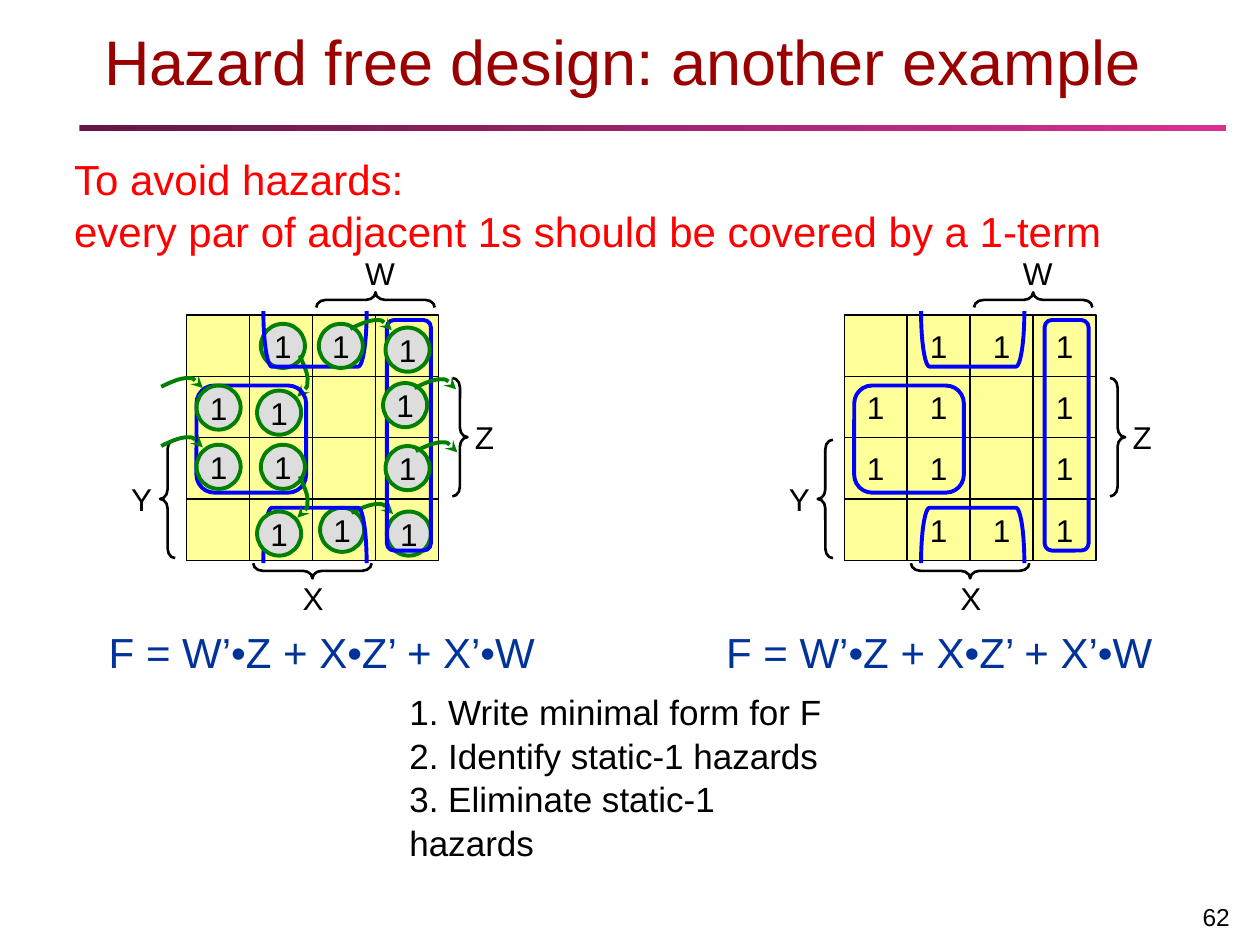
from lxml import etree
from pptx import Presentation
from pptx.dml.color import RGBColor
from pptx.enum.shapes import MSO_SHAPE
from pptx.enum.text import MSO_ANCHOR, PP_ALIGN
from pptx.oxml.ns import qn
from pptx.util import Pt

PX = 9144
FONT = "Arial"
LEFT, CENTER, RIGHT = PP_ALIGN.LEFT, PP_ALIGN.CENTER, PP_ALIGN.RIGHT
TOP, MIDDLE, BOTTOM = MSO_ANCHOR.TOP, MSO_ANCHOR.MIDDLE, MSO_ANCHOR.BOTTOM
RECT, ROUND, OVAL = MSO_SHAPE.RECTANGLE, MSO_SHAPE.ROUNDED_RECTANGLE, MSO_SHAPE.OVAL
LEFT_BRACE, RIGHT_BRACE = MSO_SHAPE.LEFT_BRACE, MSO_SHAPE.RIGHT_BRACE
BRACKET = MSO_SHAPE.LEFT_BRACKET

COLORS = {
    "title": "9A0000", "rule_start": "641744", "rule_end": "D93192",
    "warning": "FF0000", "formula": "003399", "text": "000000",
    "cell": "FFFF99", "circle": "DDDDDD", "hazard": "008000", "loop": "0000FF",
}
FORMULA = "F = W’•Z + X•Z’ + X’•W"
KMAP = ["0111", "1101", "1101", "0111"]
CELL_W, CELL_H = 50, 48.67
CIRCLE = 35
ARROW_DOWN = [(3, 8), (7, 15), (6, 21), (6, 26), (2, 30), (-2, 33)]
ARROW_RIGHT = [(8, -4), (15, -7), (21, -7), (26, -7), (30, -3), (33, 1)]
CIRCLES_BELOW = [(59, 7), (56, 60), (106, 153), (159, 156)]
CIRCLES_ABOVE = [(105, 7), (158, 10), (59, 103), (56, 156),
                 (156, 54), (8, 56), (158, 104), (8, 103)]
ARROWS_BELOW = [(90, 32, ARROW_DOWN), (131, 157, ARROW_RIGHT)]
ARROWS_ABOVE = [(130, 11, ARROW_RIGHT), (90, 128, ARROW_DOWN),
                (181, 58, ARROW_RIGHT), (-20, 57, ARROW_RIGHT),
                (182, 108, ARROW_RIGHT), (-20, 104, ARROW_RIGHT)]


def rgb(name):
    return RGBColor.from_string(COLORS[name])


def emu(*lengths):
    return [round(n * PX) for n in lengths]


def write(tf, lines, size=18, color="text", align=CENTER, **frame):
    for name, value in frame.items():
        setattr(tf, name, value)
    for i, line in enumerate(lines):
        p = tf.add_paragraph() if i else tf.paragraphs[0]
        p.text = line
        p.alignment = align
        if len(lines) > 1 or "\v" in line:
            p.line_spacing = 1.04
        for r in p.runs:
            for name, value in {"name": FONT, "size": Pt(size)}.items():
                setattr(r.font, name, value)
            r.font.color.rgb = rgb(color)


def add_text(s, box, lines, wrap=True, anchor=TOP, **style):
    tb = s.shapes.add_textbox(*emu(*box))
    write(tb.text_frame, lines, word_wrap=wrap, vertical_anchor=anchor, **style)


def style_outline(sp, line, width, fill=None):
    sp.shadow.inherit = False
    if fill:
        sp.fill.solid()
        sp.fill.fore_color.rgb = rgb(fill)
    else:
        sp.fill.background()
    sp.line.color.rgb = rgb(line)
    sp.line.width = Pt(width)


def add_shape(s, kind, box, line, width, fill=None, text="", adj=(), rotation=0):
    sp = s.shapes.add_shape(kind, *emu(*box))
    style_outline(sp, line, width, fill)
    for i, value in enumerate(adj):
        sp.adjustments[i] = value
    sp.rotation = rotation
    if text:
        write(sp.text_frame, [text], word_wrap=False, vertical_anchor=MIDDLE)


def add_arrow(s, x, y, steps):
    builder = s.shapes.build_freeform(x, y, scale=PX)
    builder.add_line_segments([(x + dx, y + dy) for dx, dy in steps], close=False)
    sp = builder.convert_to_shape()
    style_outline(sp, "hazard", 2.25)
    segments = list(sp._element.iter(qn("a:lnTo")))
    for i in range(0, len(segments), 3):
        curve = etree.Element(qn("a:cubicBezTo"))
        segments[i].addprevious(curve)
        for segment in segments[i:i + 3]:
            curve.append(segment[0])
            segment.getparent().remove(segment)
    ln = sp._element.spPr.find(qn("a:ln"))
    etree.SubElement(ln, qn("a:tailEnd"), type="stealth")


def add_map(s, x, y):
    for row, values in enumerate(KMAP):
        for col, value in enumerate(values):
            box = (x + col * CELL_W, y + row * CELL_H, CELL_W, CELL_H)
            add_shape(s, RECT, box, "text", 0.75, "cell", "1" if value == "1" else "")
    for kind, dx, dy, rotation in [(LEFT_BRACE, 144, -59, 90), (LEFT_BRACE, 94, 156, 270),
                                   (LEFT_BRACE, -21, 99, 0), (RIGHT_BRACE, 211, 50, 0)]:
        add_shape(s, kind, (x + dx, y + dy, 12, 94), "text", 1.5,
                  adj=(0.63, 0.5), rotation=rotation)
    for label, dx, dy in [("W", 132, -53), ("X", 82, 205), ("Y", -54, 126), ("Z", 218, 77)]:
        add_text(s, (x + dx, y + dy, 37, 40), [label], wrap=False)


def add_loops(s, x, y):
    for dx, dy, w, h in [(8, 56, 87, 85), (159, 4, 35, 183)]:
        add_shape(s, ROUND, (x + dx, y + dy, w, h), "loop", 2.25, adj=(0.167,))
    for dy, rotation in [(134, 90), (-22, 270)]:
        add_shape(s, BRACKET, (x + 80, y + dy, 44, 82), "loop", 2.25,
                  adj=(0.154,), rotation=rotation)


def add_hazards(s, x, y, circles, arrows):
    for dx, dy in circles:
        add_shape(s, OVAL, (x + dx, y + dy, CIRCLE, CIRCLE), "hazard", 2.25, "circle", "1")
    for dx, dy, steps in arrows:
        add_arrow(s, x + dx, y + dy, steps)


def add_formula(s, x, y):
    add_text(s, (x, y, 359, 50), [FORMULA], wrap=False, anchor=MIDDLE,
             size=24, color="formula")


def add_header(s, x, y):
    rule = s.shapes.add_shape(RECT, *emu(x, y + 86, 910, 5))
    rule.shadow.inherit = False
    rule.line.fill.background()
    rule.fill.gradient()
    rule.fill.gradient_angle = 0
    for stop, name, position in zip(rule.fill.gradient_stops, ("rule_start", "rule_end"), (0, 1)):
        stop.color.rgb = rgb(name)
        stop.position = position
    add_text(s, (x + 10, y, 893, 70), ["Hazard free design: another example"],
             anchor=BOTTOM, size=36, color="title", align=LEFT)
    add_text(s, (x - 14, y + 102, 886, 90),
             ["To avoid hazards: \vevery par of adjacent 1s should be covered by a 1-term"],
             size=24, color="warning", align=LEFT)


def add_steps(s, x, y):
    steps = ["1. Write minimal form for F", "2. Identify static-1 hazards",
             "3. Eliminate static-1 hazards"]
    add_text(s, (x, y, 365, 110), steps, anchor=MIDDLE, size=20, align=LEFT)


def main():
    prs = Presentation()
    prs.slide_width, prs.slide_height = emu(1000, 750)
    s = prs.slides.add_slide(prs.slide_layouts[6])
    add_header(s, 63, 13)
    add_map(s, 148, 250)
    add_hazards(s, 148, 250, CIRCLES_BELOW, ARROWS_BELOW)
    add_loops(s, 148, 250)
    add_hazards(s, 148, 250, CIRCLES_ABOVE, ARROWS_ABOVE)
    add_map(s, 670, 250)
    add_loops(s, 670, 250)
    add_formula(s, 76, 492)
    add_formula(s, 566, 492)
    add_steps(s, 315, 561)
    add_text(s, (930, 694, 56, 50), ["62"], anchor=BOTTOM, size=14, align=RIGHT)
    prs.save("out.pptx")


if __name__ == "__main__":
    main()
